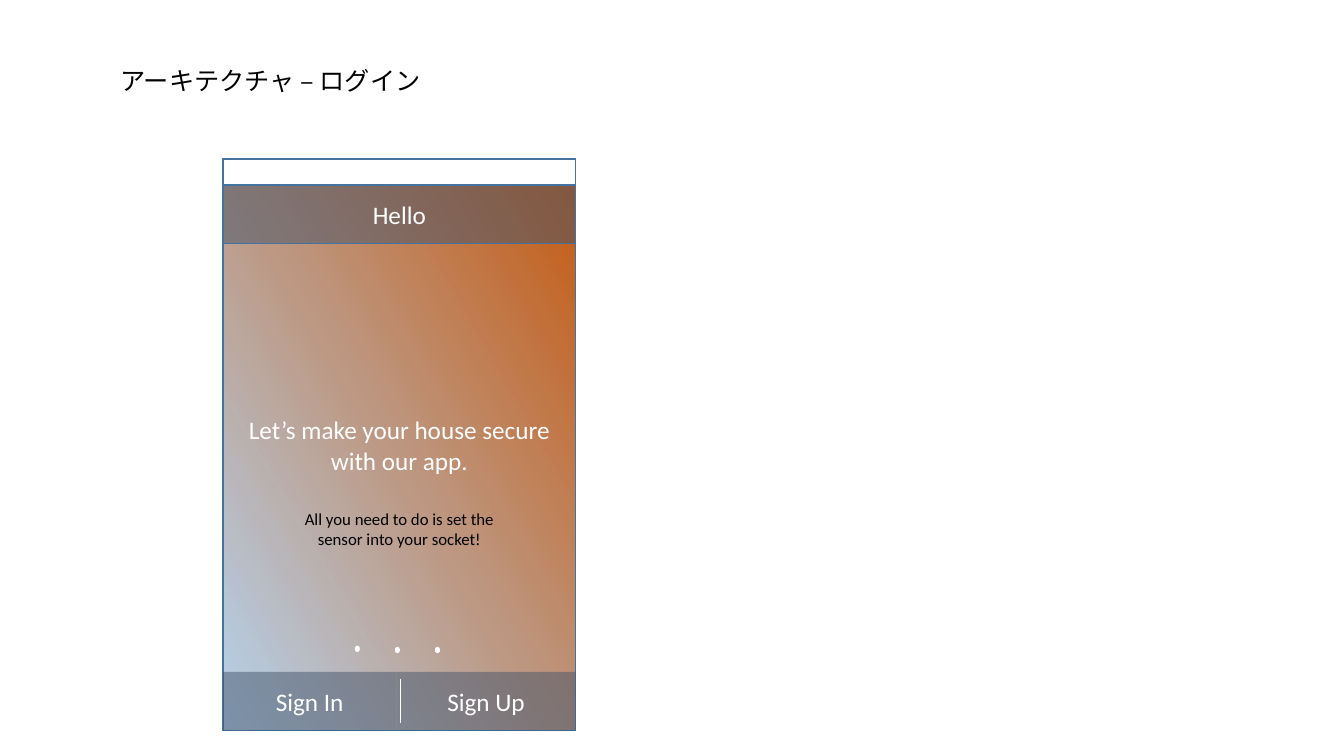
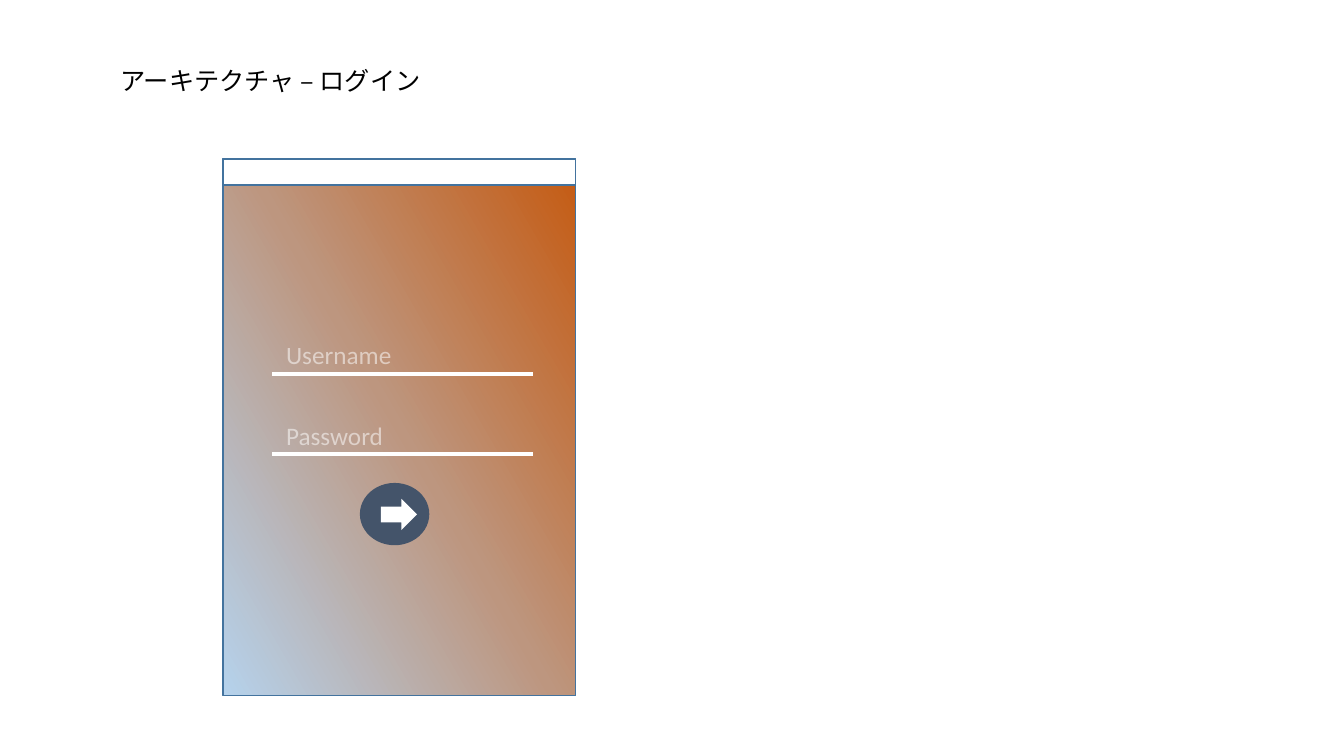
from pptx import Presentation
from pptx.dml.color import RGBColor
from pptx.enum.shapes import MSO_CONNECTOR, MSO_SHAPE as Geo
from pptx.enum.text import MSO_ANCHOR, MSO_AUTO_SIZE, PP_ALIGN as Align
from pptx.oxml.ns import qn
from pptx.util import Cm, Pt
from lxml.etree import SubElement

TITLE = "アーキテクチャ – ログイン"
SLOGAN = "Let’s make your house secure with our app."
GREETING = "Hello"
HINT = "All you need to do is set the sensor into your socket!"
ACTIONS = [("Sign In", 4.37), ("Sign Up", 4.52)]
FIELDS = [("Username", 3.2), ("Password", 2.97)]
FONT = "Calibri"
COLORS = {"black": "000000", "white": "FFFFFF", "slate": "44546A", "outline": "43739E"}
SUNSET = [(0, "C55A11"), (50, "BD967F"), (100, "B5D2EC")]

LEFT, TOP, WIDTH = 5.62, 4.01, 8.89
STATUS_HEIGHT, BAR_HEIGHT = 0.65, 1.48
WELCOME_HEIGHT, LOGIN_HEIGHT = 14.4, 13.51
DOT_TOPS = [16.27, 16.3, 16.3]
FIELD_TOP, FIELD_STEP = 8.43, 2.03


def set_alpha(fill, percent):
    SubElement(fill.find(qn("a:srgbClr")), qn("a:alpha"), val=str(percent * 1000))


def write(frame, text, size, color, align, alpha=None):
    paragraph = frame.paragraphs[0]
    paragraph.alignment = align
    run = paragraph.add_run()
    run.text = text
    font = run.font if alpha else paragraph.font
    font.name, font.size = FONT, Pt(size)
    font.color.rgb = RGBColor.from_string(COLORS[color])
    if alpha:
        set_alpha(run._r.rPr.find(qn("a:solidFill")), alpha)


def add_label(slide, box, text, size, color, align=Align.LEFT, wrap=False, alpha=None):
    frame = slide.shapes.add_textbox(*map(Cm, box)).text_frame
    frame.word_wrap = wrap
    frame.auto_size = MSO_AUTO_SIZE.SHAPE_TO_FIT_TEXT
    write(frame, text, size, color, align, alpha)


def add_part(slide, geometry, box, fill=None, alpha=None, outlined=False, text=None):
    part = slide.shapes.add_shape(geometry, *map(Cm, box))
    part.shadow.inherit = False
    if fill:
        part.fill.solid()
        part.fill.fore_color.rgb = RGBColor.from_string(COLORS[fill])
    if alpha:
        set_alpha(part._element.spPr.find(qn("a:solidFill")), alpha)
    if outlined:
        part.line.color.rgb = RGBColor.from_string(COLORS["outline"])
        part.line.width = Pt(1)
    else:
        part.line.fill.background()
    if text:
        part.text_frame.word_wrap = True
        part.text_frame.vertical_anchor = MSO_ANCHOR.MIDDLE
        write(part.text_frame, text, 18, "white", Align.CENTER)
    return part


def add_rule(slide, start, end, width):
    rule = slide.shapes.add_connector(MSO_CONNECTOR.STRAIGHT, *map(Cm, start + end))
    rule.line.color.rgb = RGBColor.from_string(COLORS["white"])
    rule.line.width = Pt(width)
    SubElement(rule._element.spPr, qn("a:effectLst"))


def add_screen(deck, height, text=None):
    slide = deck.slides.add_slide(deck.slide_layouts[6])
    add_label(slide, (2.78, 1.51, 8.18, 1.02), TITLE, 18, "black")
    phone = add_part(slide, Geo.RECTANGLE, (LEFT, TOP, WIDTH, height), outlined=True, text=text)
    phone.fill.gradient()
    phone.fill.gradient_angle = 210
    stops = phone._element.spPr.find(qn("a:gradFill")).find(qn("a:gsLst"))
    for stop in list(stops):
        stops.remove(stop)
    for position, color in SUNSET:
        stop = SubElement(stops, qn("a:gs"), pos=str(position * 1000))
        SubElement(stop, qn("a:srgbClr"), val=color)
    add_part(slide, Geo.RECTANGLE, (LEFT, TOP, WIDTH, STATUS_HEIGHT), "white", outlined=True)
    return slide


deck = Presentation()
deck.slide_width, deck.slide_height = Cm(33.87), Cm(19.05)

welcome = add_screen(deck, WELCOME_HEIGHT, SLOGAN)
add_part(welcome, Geo.RECTANGLE, (LEFT, TOP + STATUS_HEIGHT, WIDTH, BAR_HEIGHT),
         "slate", 50, True, GREETING)
action_left, action_top = LEFT, TOP + WELCOME_HEIGHT - BAR_HEIGHT
for action, width in ACTIONS:
    add_part(welcome, Geo.RECTANGLE, (action_left, action_top, width, BAR_HEIGHT),
             "slate", 50, text=action)
    action_left += width
add_label(welcome, (6.99, 12.7, 6.15, 1.27), HINT, 12, "black", Align.CENTER, True)
for index, dot_top in enumerate(DOT_TOPS):
    add_part(welcome, Geo.OVAL, (8.94 + index * 1.01, dot_top, 0.13, 0.16), "white")
add_rule(welcome, (10.08, 17.12), (10.08, 18.21), 0.5)

login = add_screen(deck, LOGIN_HEIGHT)
for index, (field, width) in enumerate(FIELDS):
    top = FIELD_TOP + index * FIELD_STEP
    add_rule(login, (6.86, top + 0.99), (13.44, top + 0.99), 3)
    add_label(login, (6.96, top, width, 1.02), field, 18, "white", alpha=52)
add_part(login, Geo.OVAL, (9.07, 12.17, 1.75, 1.57), "slate")
add_part(login, Geo.RIGHT_ARROW, (9.6, 12.57, 0.91, 0.79), "white")

deck.save("out.pptx")
